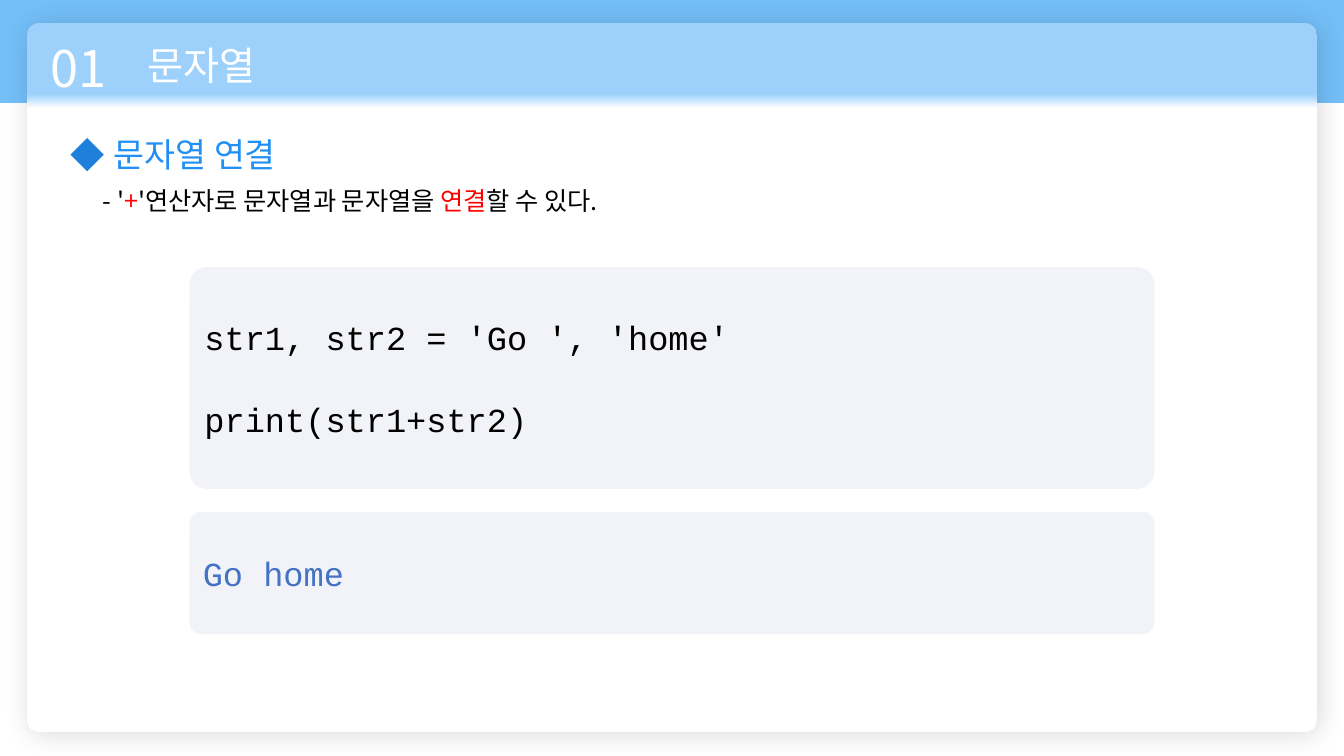
from lxml import etree
from pptx import Presentation
from pptx.dml.color import RGBColor
from pptx.enum.shapes import MSO_SHAPE
from pptx.enum.text import MSO_ANCHOR, MSO_AUTO_SIZE, PP_ALIGN
from pptx.oxml import parse_xml
from pptx.oxml.ns import nsdecls, qn
from pptx.util import Inches, Pt

RECTANGLE = MSO_SHAPE.RECTANGLE
ROUNDED = MSO_SHAPE.ROUNDED_RECTANGLE
DIAMOND = MSO_SHAPE.DIAMOND
LEFT = PP_ALIGN.LEFT
TOP, MIDDLE = MSO_ANCHOR.TOP, MSO_ANCHOR.MIDDLE
FIT_SHAPE = MSO_AUTO_SIZE.SHAPE_TO_FIT_TEXT

TEXT_FONT = "Noto Sans CJK KR"
CODE_FONT = "Courier New"
COLORS = {
    "band": "74BFF8",
    "header": "9DD1FB",
    "white": "FFFFFF",
    "heading": "228FF4",
    "diamond": "1F80DB",
    "text": "000000",
    "accent": "FF0000",
    "code_box": "F2F3F9",
    "output": "4472C4",
}


def rgb(name):
    return RGBColor.from_string(COLORS[name])


def add_box(slide, kind, box, color, radius=None):
    shape = slide.shapes.add_shape(kind, *map(Inches, box))
    shape.fill.solid()
    shape.fill.fore_color.rgb = rgb(color)
    shape.line.fill.background()
    shape.shadow.inherit = False
    if radius is not None:
        shape.adjustments[0] = radius
    return shape


def set_font(paragraph, size, color, name=TEXT_FONT):
    paragraph.alignment = LEFT
    font = paragraph.font
    font.size = Pt(size)
    font.name = name
    font.color.rgb = rgb(color)
    # East Asian typeface goes right after the Latin one
    latin = paragraph._p.pPr.find(qn("a:defRPr")).find(qn("a:latin"))
    east_asian = etree.Element(qn("a:ea"), typeface=name)
    latin.addnext(east_asian)


def fill_label(shape, runs, size, color):
    """Write (text, colour) runs in one paragraph of a text shape."""
    frame = shape.text_frame
    frame.word_wrap = True
    frame.auto_size = FIT_SHAPE
    frame.vertical_anchor = TOP
    paragraph = frame.paragraphs[0]
    for text, run_color in runs:
        run = paragraph.add_run()
        run.text = text
        if run_color != color:
            run.font.color.rgb = rgb(run_color)
    set_font(paragraph, size, color)


def add_label(slide, box, runs, size, color):
    label = slide.shapes.add_textbox(*map(Inches, box))
    fill_label(label, runs, size, color)


def add_card(slide, box):
    """White card with a blue header strip and a soft shadow."""
    card = add_box(slide, ROUNDED, box, "white", 0.016)
    card.fill.gradient()
    card.fill.gradient_angle = 270
    stops = ((0.10, "header"), (0.12, "white"))
    for stop, (position, color) in zip(card.fill.gradient_stops, stops):
        stop.position = position
        stop.color.rgb = rgb(color)
    effects = card._element.spPr.find(qn("a:effectLst"))
    effects.append(parse_xml(
        f'<a:outerShdw {nsdecls("a")} blurRad="{Pt(20)}" dist="{Pt(3)}" '
        'dir="2700000" algn="tl" rotWithShape="0"><a:srgbClr val="000000">'
        '<a:alpha val="14000"/></a:srgbClr></a:outerShdw>'))


def add_header(slide, box, number, title):
    left, top, width, height = box
    add_label(slide, (left, top, 1.02, height), [(number, "white")], 36, "white")
    placeholder = slide.shapes.title
    placeholder.left, placeholder.top = Inches(left + 0.96), Inches(top + 0.04)
    placeholder.width, placeholder.height = Inches(width - 0.96), Inches(0.57)
    fill_label(placeholder, [(title, "white")], 28, "white")
    # Bring the title in front of the card
    slide.shapes._spTree.append(placeholder._element)


def add_topic(slide, box, heading, runs):
    left, top, width, height = box
    add_label(slide, (left + 0.33, top, 3.3, 0.5),
              [(heading, "heading")], 24, "heading")
    add_box(slide, DIAMOND, (left, top + 0.09, 0.33, 0.33), "diamond")
    add_label(slide, (left + 0.22, top + 0.51, width - 0.22, height - 0.51),
              runs, 18, "text")


def add_code(slide, box, lines, color, radius):
    shape = add_box(slide, ROUNDED, box, "code_box", radius)
    frame = shape.text_frame
    frame.word_wrap = True
    frame.vertical_anchor = MIDDLE
    for index, line in enumerate(lines):
        paragraph = frame.add_paragraph() if index else frame.paragraphs[0]
        paragraph.add_run().text = line
        if index:
            paragraph.space_before = Pt(30)
        set_font(paragraph, 24, color, CODE_FONT)


def main():
    presentation = Presentation()
    presentation.slide_width = Inches(13.33)
    presentation.slide_height = Inches(7.5)
    slide = presentation.slides.add_slide(presentation.slide_layouts[5])

    # Background band, card and header
    add_box(slide, RECTANGLE, (0, 0, 13.33, 1.02), "band")
    add_card(slide, (0.27, 0.23, 12.79, 7.03))
    add_header(slide, (0.4, 0.32, 5.86, 0.71), "01", "문자열")

    # Topic and explanation
    add_topic(slide, (0.7, 1.28, 8.29, 0.91), "문자열 연결", [
        ("- '", "text"),
        ("+", "accent"),
        ("'연산자로 문자열과 문자열을 ", "text"),
        ("연결", "accent"),
        ("할 수 있다.", "text"),
    ])

    # Code and its output
    add_code(slide, (1.88, 2.65, 9.57, 2.2),
             ["str1, str2 = 'Go ', 'home'", "print(str1+str2)"], "text", 0.078)
    add_code(slide, (1.88, 5.08, 9.57, 1.21), ["Go home"], "output", 0.094)

    presentation.save("out.pptx")


if __name__ == "__main__":
    main()
